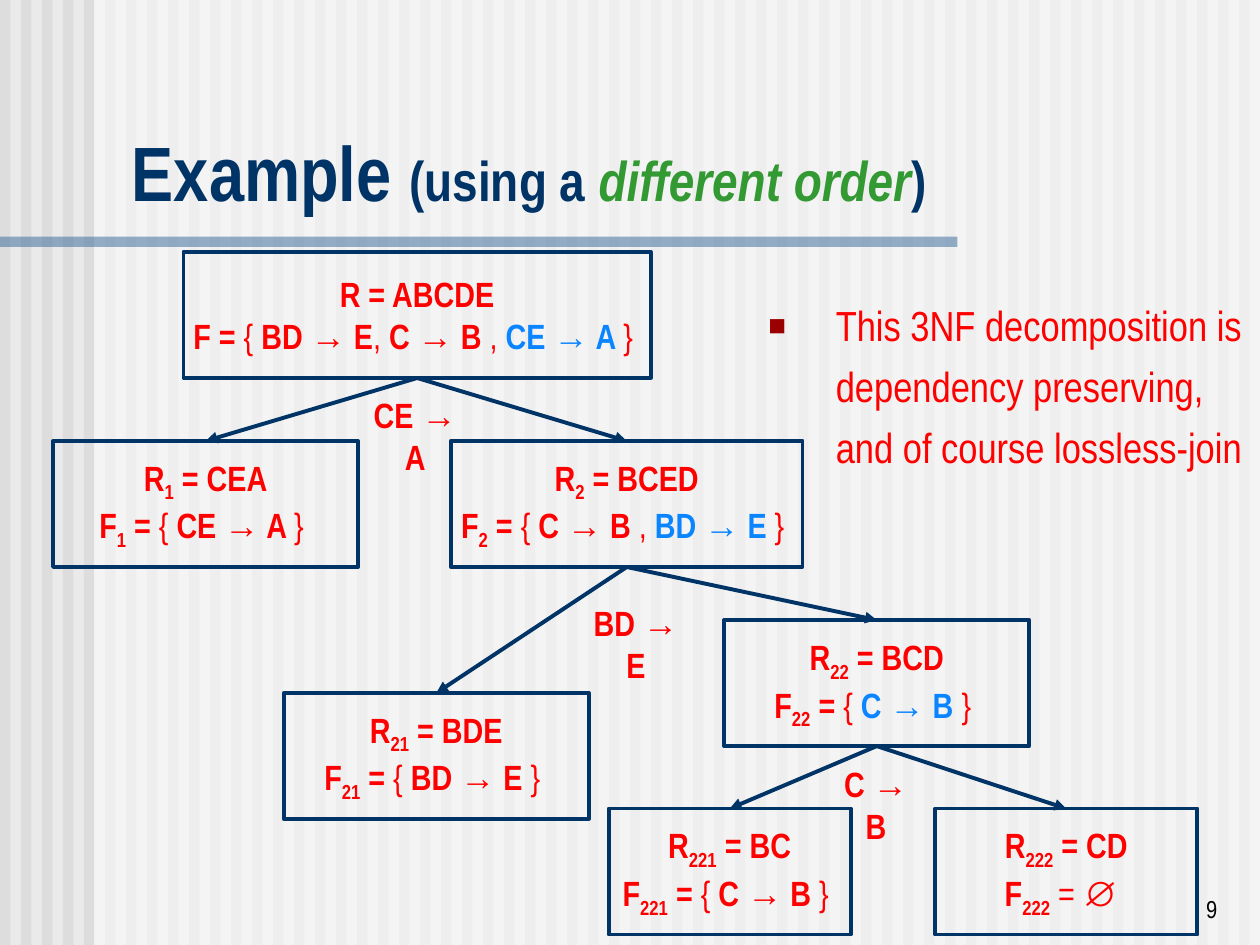
import lxml.etree
import pptx
import pptx.dml.color
import pptx.enum.shapes
import pptx.enum.text
import pptx.oxml.ns
import pptx.util

Cm, Pt = pptx.util.Cm, pptx.util.Pt
RGBColor = pptx.dml.color.RGBColor
Align, Anchor = pptx.enum.text.PP_ALIGN, pptx.enum.text.MSO_ANCHOR
qn = pptx.oxml.ns.qn

NAVY = RGBColor(0x00, 0x33, 0x66)
STEEL = RGBColor(0x33, 0x66, 0x99)
RED = RGBColor(0xFF, 0x00, 0x00)
BLUE = RGBColor(0x0A, 0x85, 0xFF)
GREEN = RGBColor(0x33, 0x99, 0x33)
MAROON = RGBColor(0x9A, 0x00, 0x00)
BLACK = RGBColor(0x00, 0x00, 0x00)
WHITE = RGBColor(0xFF, 0xFF, 0xFF)
PALE = RGBColor(0xEA, 0xEA, 0xEA)
STRIPE = RGBColor(0xDD, 0xDD, 0xDD)

WIDTH, HEIGHT = 25.4, 19.05
STRIPES = 60
BOX_HEIGHT = 2.54
LABEL_HEIGHT = 1.12
FORMULA = {"name": "Arial Narrow", "size": Pt(20), "bold": True}

# Relations: subscript -> left, top, width, attributes, dependencies, last one blue
RELATIONS = {
    "": (3.7, 5.08, 9.42, "ABCDE",
         [("BD", "E"), ("C", "B "), ("CE", "A ")], True),
    "1": (1.07, 8.89, 6.15, "CEA", [("CE", "A ")], False),
    "2": (9.09, 8.89, 7.09, "BCED", [("C", "B "), ("BD", "E ")], True),
    "21": (5.72, 13.97, 6.15, "BDE", [("BD", "E ")], False),
    "22": (14.6, 12.5, 6.15, "BCD", [("C", "B ")], True),
    "221": (12.27, 16.3, 4.88, "BC", [("C", "B ")], False),
    "222": (18.85, 16.3, 5.29, "CD", [], False),
}
# Splits: parent, children
SPLITS = [("", "1", "2"), ("2", "21", "22"), ("22", "221", "222")]
# Split labels: left, top, width, dependency
SPLIT_LABELS = [
    (7.06, 7.8, 2.62, ("CE", "A")),
    (11.51, 12.01, 2.62, ("BD", "E")),
    (16.54, 15.24, 2.24, ("C", "B")),
]


def add_run(paragraph, text, color, subscript=False, **changes):
    run = paragraph.add_run()
    run.text = text
    run.font.color.rgb = color
    for key, value in {**FORMULA, **changes}.items():
        setattr(run.font, key, value)
    if subscript:
        run.font._element.set("baseline", "-25000")


def add_dependency(paragraph, dependency, color=RED):
    left_side, right_side = dependency
    add_run(paragraph, left_side + " ", color)
    add_run(paragraph, "→", color, name="Arial")
    add_run(paragraph, " " + right_side, color)


def add_band(slide, left, top, width, height, color, alpha=None):
    band = slide.shapes.add_shape(
        pptx.enum.shapes.MSO_SHAPE.RECTANGLE,
        Cm(left), Cm(top), Cm(width), Cm(height))
    band.shadow.inherit = False
    band.line.fill.background()
    band.fill.solid()
    band.fill.fore_color.rgb = color
    if alpha:
        fill_color = band._element.spPr.find(".//" + qn("a:srgbClr"))
        lxml.etree.SubElement(fill_color, qn("a:alpha"), val=str(alpha * 1000))


def add_text(slide, left, top, width, height, **frame_format):
    frame = slide.shapes.add_textbox(
        Cm(left), Cm(top), Cm(width), Cm(height)).text_frame
    for key, value in {"word_wrap": True, **frame_format}.items():
        setattr(frame, key, value)
    return frame


def add_relation(slide, subscript, left, top, width, attributes,
                 dependencies, last_blue):
    box = slide.shapes.add_shape(
        pptx.enum.shapes.MSO_SHAPE.RECTANGLE,
        Cm(left), Cm(top), Cm(width), Cm(BOX_HEIGHT))
    box.shadow.inherit = False
    box.fill.background()
    box.line.color.rgb = NAVY
    box.line.width = Pt(2.25)
    frame = box.text_frame
    frame.word_wrap = False
    frame.vertical_anchor = Anchor.MIDDLE
    schema, rules = frame.paragraphs[0], frame.add_paragraph()
    for paragraph, letter in ((schema, "R"), (rules, "F")):
        paragraph.alignment = Align.CENTER
        add_run(paragraph, letter, RED)
        if subscript:
            add_run(paragraph, subscript, RED, subscript=True)
    add_run(schema, " = " + attributes, RED)

    if not dependencies:
        add_run(rules, " = ", RED, bold=False)
        add_run(rules, "∅ ", RED, name="Arial")
        return box
    add_run(rules, " =", RED)
    add_run(rules, " { ", RED, bold=False)
    for dependency in dependencies[:-1]:
        add_dependency(rules, dependency)
        add_run(rules, ", ", RED, bold=False)
    add_dependency(rules, dependencies[-1], BLUE if last_blue else RED)
    add_run(rules, "} ", RED, bold=False)
    return box


def add_arrow(slide, parent, child):
    arrow = slide.shapes.add_connector(
        pptx.enum.shapes.MSO_CONNECTOR.STRAIGHT, 0, 0, 0, 0)
    arrow.begin_connect(parent, 2)
    arrow.end_connect(child, 0)
    arrow.line.color.rgb = NAVY
    arrow.line.width = Pt(2.25)
    properties = arrow._element.spPr
    lxml.etree.SubElement(
        properties.find(qn("a:ln")), qn("a:tailEnd"), type="triangle")
    lxml.etree.SubElement(properties, qn("a:effectLst"))


def add_remark(slide):
    frame = add_text(slide, 15.24, 5.92, 10.16, 3.73)
    lines = ["This 3NF decomposition is", "dependency preserving,",
             "and of course lossless-join"]
    for number, line in enumerate(lines):
        paragraph = frame.add_paragraph() if number else frame.paragraphs[0]
        paragraph.space_before = Pt(6)
        add_run(paragraph, line, RED, size=Pt(24), bold=False)
        properties = paragraph._p.get_or_add_pPr()
        properties.set("marL", str(Cm(1.36)))
        if number == 0:
            properties.set("indent", str(Cm(-1.36)))
            bullet_color = lxml.etree.SubElement(properties, qn("a:buClr"))
            lxml.etree.SubElement(
                bullet_color, qn("a:srgbClr"), val=str(MAROON))
            for tag, key, value in (("a:buSzPct", "val", "70000"),
                                    ("a:buFont", "typeface", "Arial"),
                                    ("a:buChar", "char", "■")):
                lxml.etree.SubElement(properties, qn(tag), {key: value})


def main():
    deck = pptx.Presentation()
    deck.slide_width, deck.slide_height = Cm(WIDTH), Cm(HEIGHT)
    slide = deck.slides.add_slide(deck.slide_layouts[6])

    # Striped background, veil and title rule
    slide.background.fill.solid()
    slide.background.fill.fore_color.rgb = PALE
    pitch = WIDTH / STRIPES
    for number in range(STRIPES):
        add_band(slide, number * pitch, 0, pitch / 2, HEIGHT, STRIPE)
    add_band(slide, 1.9, 0, WIDTH - 1.9, HEIGHT, WHITE, alpha=50)
    add_band(slide, 0, 4.77, 19.3, 0.21, STEEL, alpha=50)

    # Title
    title = add_text(slide, 2.41, 2.39, 22.68, 2.11,
                     vertical_anchor=Anchor.BOTTOM).paragraphs[0]
    add_run(title, "Example ", NAVY, size=Pt(44))
    add_run(title, "(using a ", NAVY, size=Pt(32))
    add_run(title, "different order", GREEN, size=Pt(32), italic=True)
    add_run(title, ")", NAVY, size=Pt(32))

    # Decomposition tree
    boxes = {subscript: add_relation(slide, subscript, *relation)
             for subscript, relation in RELATIONS.items()}
    for parent, *children in SPLITS:
        for child in children:
            add_arrow(slide, boxes[parent], boxes[child])
    for left, top, width, dependency in SPLIT_LABELS:
        label = add_text(slide, left, top, width, LABEL_HEIGHT,
                         margin_left=Cm(0.32), margin_right=Cm(0.32))
        label.paragraphs[0].alignment = Align.CENTER
        add_dependency(label.paragraphs[0], dependency)

    # Remark and page number
    add_remark(slide)
    page = add_text(slide, 19.51, 17.48, 5.28, 1.27,
                    vertical_anchor=Anchor.BOTTOM).paragraphs[0]
    page.alignment = Align.RIGHT
    add_run(page, "9", BLACK, size=Pt(14), bold=False)

    deck.save("out.pptx")


if __name__ == "__main__":
    main()
